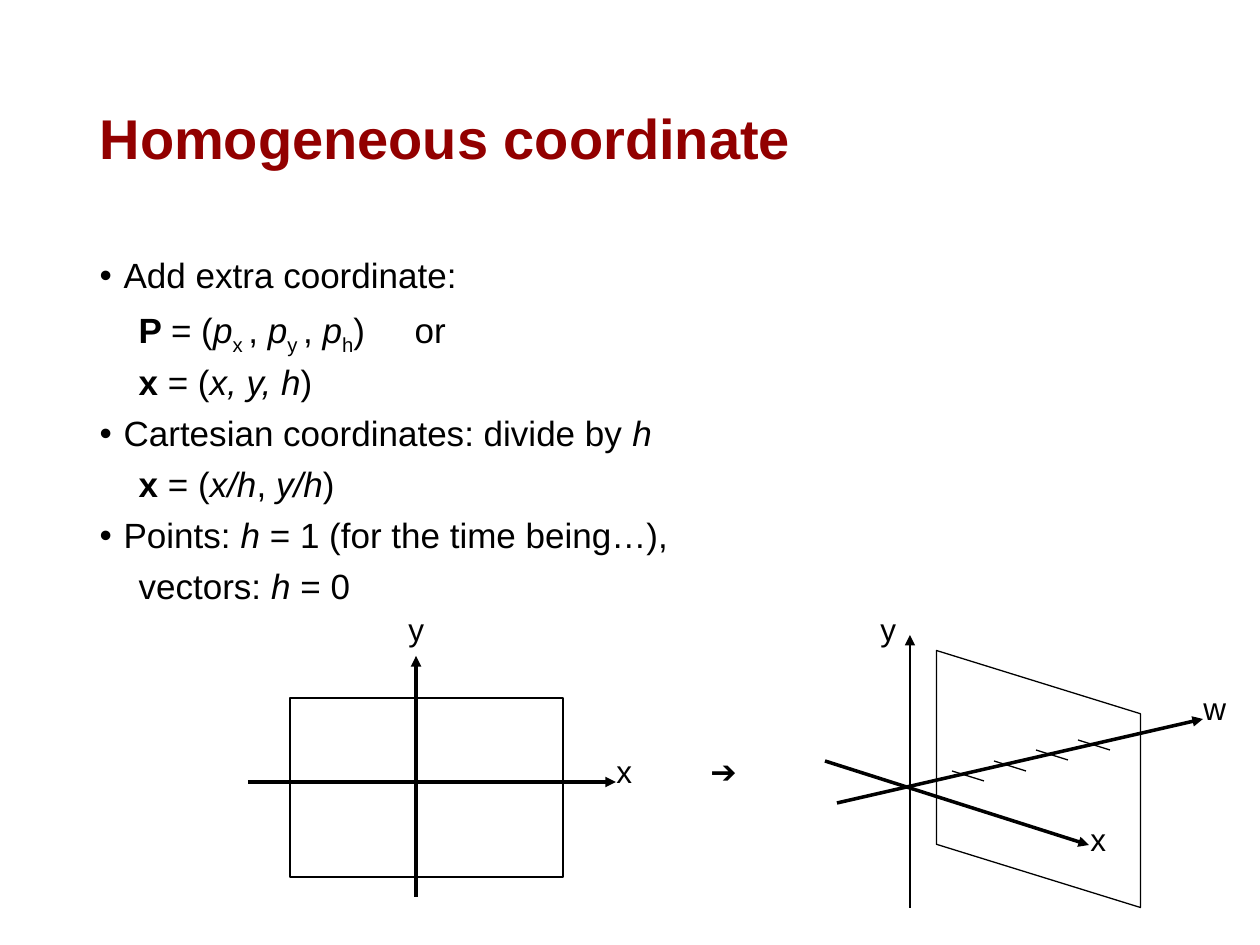
from lxml.etree import SubElement
from pptx import Presentation
from pptx.dml.color import RGBColor
from pptx.enum.shapes import MSO_CONNECTOR, MSO_SHAPE
from pptx.enum.text import MSO_ANCHOR, MSO_AUTO_SIZE, PP_ALIGN
from pptx.oxml.ns import qn
from pptx.util import Emu, Pt

BLACK = RGBColor(0, 0, 0)
RED = RGBColor(0x92, 0, 0)
FONT = "Arial"
SCALE = 914400 / 126
THIN, THICK = 0.75, 2


def px(*nums):
    return [Emu(round(n * SCALE)) for n in nums]


class Board:
    def __init__(self, slide):
        self.slide = slide
        self.shapes = slide.shapes

    def style(self, font, size, color=BLACK, bold=False):
        font.name, font.size, font.bold = FONT, Pt(size), bold
        font.color.rgb = color

    def place(self, shape, *box):
        shape.left, shape.top, shape.width, shape.height = px(*box)

    def title(self, text, *box):
        shape = self.shapes.title
        self.place(shape, *box)
        frame = shape.text_frame
        frame.text = text
        frame.vertical_anchor = MSO_ANCHOR.MIDDLE
        para = frame.paragraphs[0]
        para.alignment = PP_ALIGN.LEFT
        para.line_spacing = 0.9
        self.style(para.runs[0].font, 32, RED, True)

    def body(self, lines, *box):
        shape = self.slide.placeholders[1]
        self.place(shape, *box)
        frame = shape.text_frame
        frame.auto_size = MSO_AUTO_SIZE.NONE
        for n, (mark, runs) in enumerate(lines):
            para = frame.paragraphs[0] if n == 0 else frame.add_paragraph()
            self.bullet(para, mark)
            para.line_spacing = 0.9
            para.space_before = Pt(7.5 if n else 0)
            for text, kind in runs:
                run = para.add_run()
                run.text = text
                self.style(run.font, 20, bold=kind == "b")
                run.font.italic = kind == "i"
                if kind == "sub":
                    run.font._element.set("baseline", "-25000")

    def bullet(self, para, mark):
        props = para._p.get_or_add_pPr()
        margin, indent = px(24, -24) if mark else px(0, 39)
        props.set("marL", str(margin))
        props.set("indent", str(indent))
        if mark:
            SubElement(props, qn("a:buChar")).set("char", "•")
        else:
            SubElement(props, qn("a:buNone"))
            tabs = SubElement(props, qn("a:tabLst"))
            tab = SubElement(tabs, qn("a:tab"))
            tab.set("pos", str(px(295)[0]))
            tab.set("algn", "l")

    def frame(self, kind, *box):
        shape = self.shapes.add_shape(kind, *px(*box))
        shape.shadow.inherit = False
        shape.fill.background()
        shape.line.color.rgb = BLACK
        shape.line.width = Pt(THIN)
        return shape

    def line(self, ends, width=THIN, arrow=False):
        link = self.shapes.add_connector(MSO_CONNECTOR.STRAIGHT, *px(*ends))
        link.line.color.rgb = BLACK
        link.line.width = Pt(width)
        props = link._element.spPr
        if arrow:
            SubElement(props.find(qn("a:ln")), qn("a:tailEnd")).set("type", "triangle")
        SubElement(props, qn("a:effectLst"))

    def label(self, text, left, top, width=47):
        frame = self.shapes.add_textbox(*px(left, top, width, 63)).text_frame
        frame.word_wrap = False
        frame.auto_size = MSO_AUTO_SIZE.SHAPE_TO_FIT_TEXT
        frame.text = text
        self.style(frame.paragraphs[0].runs[0].font, 18)


LINES = [
    (True, [("Add extra coordinate:", "")]),
    (False, [("P ", "b"), ("= (", ""), ("p", "i"), ("x ", "sub"), (", ", ""),
             ("p", "i"), ("y ", "sub"), (", ", ""), ("p", "i"), ("h", "sub"),
             (")\tor", "")]),
    (False, [("x", "b"), (" = (", ""), ("x, y, h", "i"), (")", "")]),
    (True, [("Cartesian coordinates: divide by ", ""), ("h", "i")]),
    (False, [("x ", "b"), ("= (", ""), ("x/h", "i"), (", ", ""), ("y/h", "i"),
             (")", "")]),
    (True, [("Points: ", ""), ("h ", "i"), ("= 1 (for the time being…),", "")]),
    (False, [("vectors: ", ""), ("h ", "i"), ("= 0", "")]),
]


def main():
    deck = Presentation()
    deck.slide_width, deck.slide_height = px(1260, 945)
    board = Board(deck.slides.add_slide(deck.slide_layouts[1]))

    # Title and list
    board.title("Homogeneous coordinate", 87, 50, 1086, 183)
    board.body(LINES, 87, 252, 1086, 600)

    # Flat plane with its axes
    board.frame(MSO_SHAPE.RECTANGLE, 290, 698, 273, 179)
    board.line((248, 782, 616, 782), THICK, True)
    board.line((416, 897, 416, 656), THICK, True)

    # Plane in space with its axes
    plane = board.frame(MSO_SHAPE.PARALLELOGRAM, 910, 677, 257, 204)
    plane.adjustments[0] = 0.31
    plane.rotation = 270
    board.line((910, 908, 910, 635), THIN, True)
    board.line((825, 761, 1089, 845), THICK, True)
    board.line((837, 803, 1203, 719), THICK, True)

    # Ticks along the w axis
    for n in range(4):
        left, top = 952 + 42 * n, 771 - 21 * n // 2
        board.line((left, top, left + 32, top + 10))

    # Axis names and the arrow between the drawings
    for text, left, top in [("y", 396, 604), ("y", 868, 604),
                            ("x", 604, 746), ("x", 1078, 814)]:
        board.label(text, left, top)
    board.label("w", 1191, 683, 55)
    board.label("➔", 698, 746, 71)

    deck.save("out.pptx")


if __name__ == "__main__":
    main()
